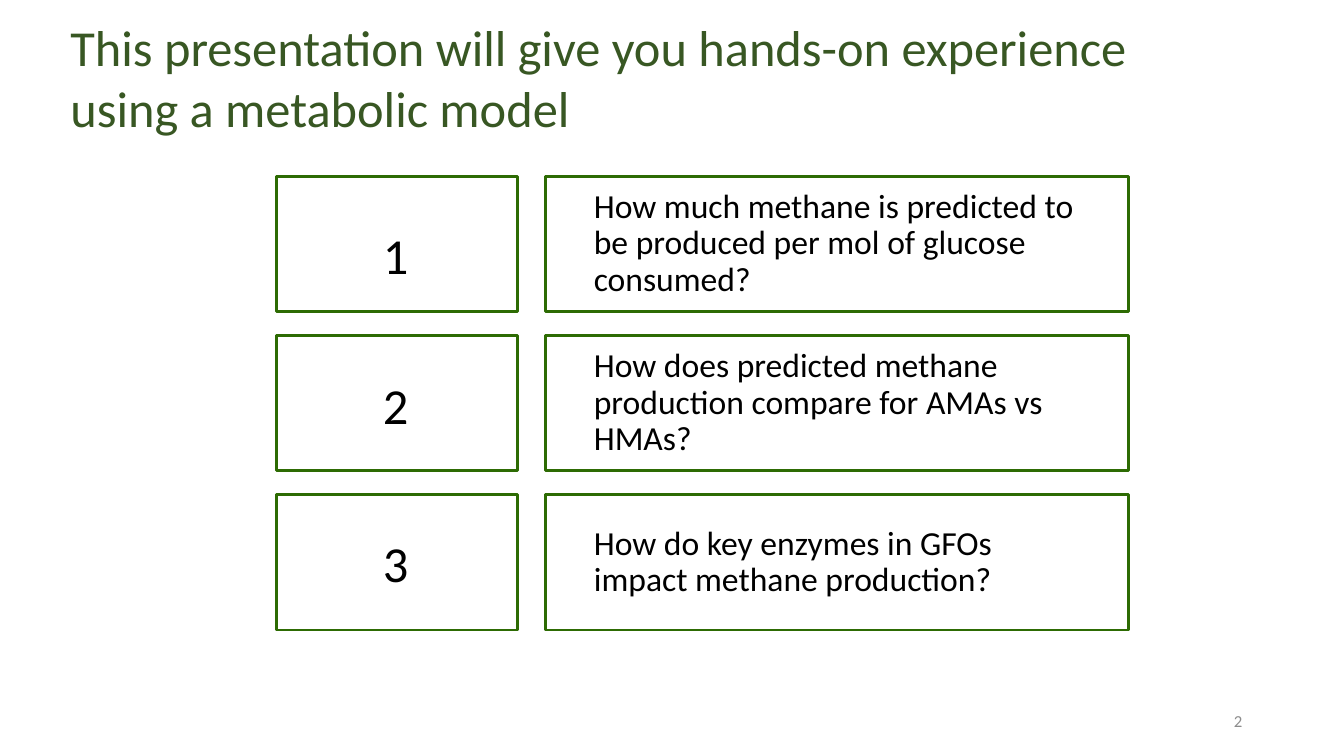
from pptx import Presentation
from pptx import util as u
from pptx.dml.color import RGBColor
from pptx.enum import shapes, text

PX = 9144  # EMU per px, at 100 px to the inch
FONT = "Calibri"
TITLE_GREEN = RGBColor(0x38, 0x57, 0x23)
BORDER_GREEN = RGBColor(0x2D, 0x6B, 0x03)
GREY = RGBColor(0x8C, 0x8C, 0x8C)
BLACK = RGBColor(0, 0, 0)
WHITE = RGBColor(255, 255, 255)

ROW_TOP, ROW_PITCH, ROW_HEIGHT = 175, 158, 134
QUESTIONS = [  # question, top of its number
    ("How much methane is predicted to be produced per mol of glucose consumed?", 217),
    ("How does predicted methane production compare for AMAs vs HMAs?", 366),
    ("How do key enzymes in GFOs impact methane production?", 523),
]


def px(*lengths):
    return [u.Emu(n * PX) for n in lengths]


def write(sp, words, size, color, align=text.PP_ALIGN.LEFT):
    """Put one paragraph into a shape and return it."""
    p = sp.text_frame.paragraphs[0]
    p.text = words
    p.alignment = align
    p.font.name = FONT
    p.font.size = u.Pt(size)
    p.font.color.rgb = color
    return p


def add_label(s, box, words, size, color, anchor, align=text.PP_ALIGN.LEFT):
    sp = s.shapes.add_textbox(*px(*box))
    tf = sp.text_frame
    tf.word_wrap = True
    tf.vertical_anchor = anchor
    write(sp, words, size, color, align)


def add_box(s, left, top, width):
    sp = s.shapes.add_shape(shapes.MSO_SHAPE.RECTANGLE, *px(left, top, width, ROW_HEIGHT))
    sp.shadow.inherit = False
    sp.fill.solid()
    sp.fill.fore_color.rgb = WHITE
    sp.line.color.rgb = BORDER_GREEN
    sp.line.width = u.Pt(2)
    return sp


def add_question(s, top, question):
    sp = add_box(s, 541, top, 578)
    tf = sp.text_frame
    tf.word_wrap = True
    tf.vertical_anchor = text.MSO_ANCHOR.MIDDLE
    tf.margin_left, tf.margin_right = px(48, 48)
    p = write(sp, question, 24, BLACK)
    p.line_spacing = 0.9
    p.space_before = u.Pt(10)


def add_number(s, top, number, number_top):
    add_box(s, 274, top, 239)
    sp = s.shapes.add_textbox(*px(370, number_top, 46, 71))
    sp.text_frame.word_wrap = False
    sp.text_frame.auto_size = text.MSO_AUTO_SIZE.SHAPE_TO_FIT_TEXT
    write(sp, str(number), 36, BLACK)


def main():
    prs = Presentation()
    prs.slide_width, prs.slide_height = px(1333, 750)
    s = prs.slides.add_slide(prs.slide_layouts[6])

    add_label(s, (60, 63, 1182, 78),
              "This presentation will give you hands-on experience using a metabolic model",
              36, TITLE_GREEN, text.MSO_ANCHOR.BOTTOM)
    for i, (question, number_top) in enumerate(QUESTIONS):
        top = ROW_TOP + i * ROW_PITCH
        add_question(s, top, question)
        add_number(s, top, i + 1, number_top)
    add_label(s, (942, 695, 300, 40), "2", 12, GREY,
              text.MSO_ANCHOR.MIDDLE, text.PP_ALIGN.RIGHT)

    prs.save("out.pptx")


if __name__ == "__main__":
    main()
